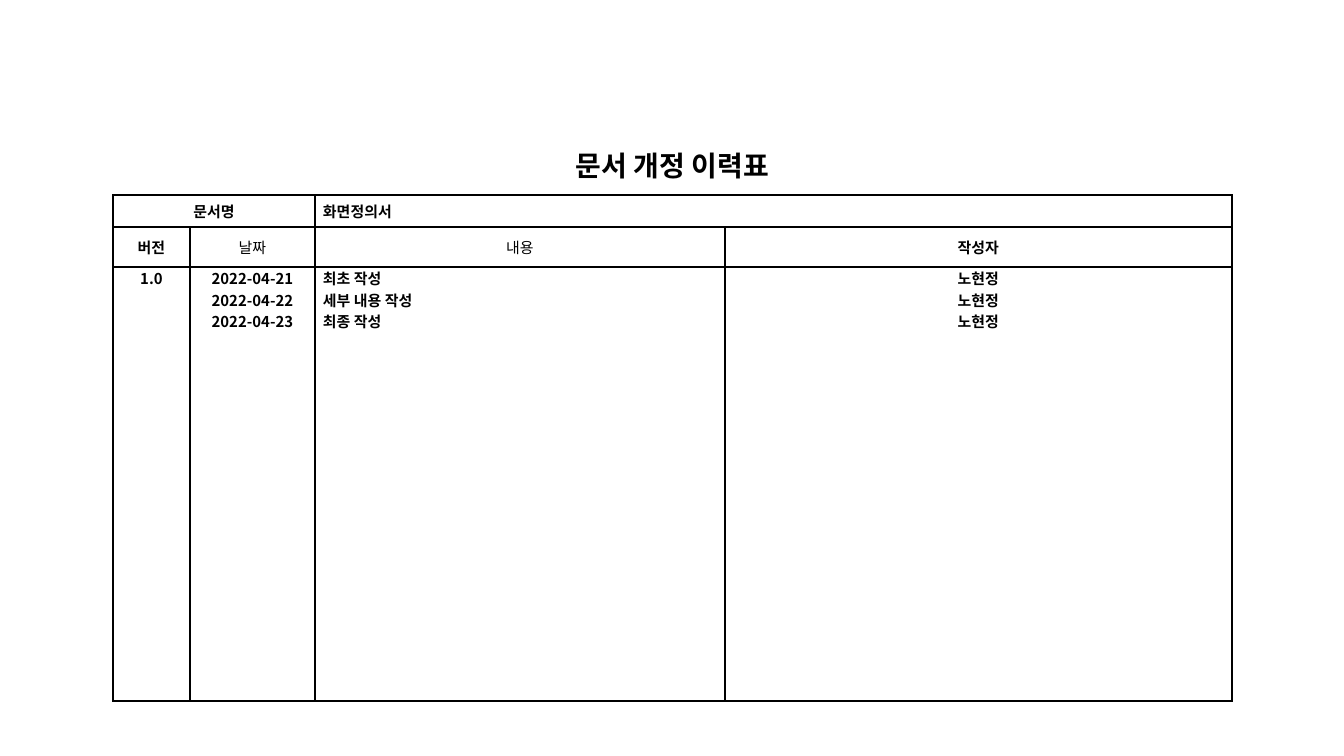
from lxml import etree
from pptx import Presentation
from pptx.dml.color import RGBColor
from pptx.enum.text import MSO_ANCHOR, PP_ALIGN
from pptx.oxml.ns import qn
from pptx.util import Pt

EMU_PER_PX = 914400 / 134.4
FONT = "Noto Sans CJK KR"
COLORS = {"ink": "000000", "paper": "FFFFFF"}
CENTER, JUSTIFY = PP_ALIGN.CENTER, PP_ALIGN.JUSTIFY
TOP, MIDDLE, BOTTOM = MSO_ANCHOR.TOP, MSO_ANCHOR.MIDDLE, MSO_ANCHOR.BOTTOM

COLUMN_WIDTHS = [77, 125, 410, 507]
ROW_HEIGHTS = [103, 32, 40, 434]
HEADINGS = [("버전", True), ("날짜", False), ("내용", False), ("작성자", True)]
HISTORY = [
    (["1.0"], CENTER),
    (["2022-04-21", "2022-04-22", "2022-04-23"], CENTER),
    (["최초 작성", "세부 내용 작성", "최종 작성"], JUSTIFY),
    (["노현정"] * 3, CENTER),
]


def px(length):
    return round(length * EMU_PER_PX)


def write(cell, lines, size=8, bold=True, align=CENTER, anchor=MIDDLE, bottom=0):
    """Fill a cell with one paragraph per line."""
    cell.vertical_anchor = anchor
    cell.margin_left = cell.margin_right = px(8)
    cell.margin_top, cell.margin_bottom = 0, px(bottom)
    frame = cell.text_frame
    for index, line in enumerate(lines):
        paragraph = frame.add_paragraph() if index else frame.paragraphs[0]
        paragraph.alignment = align
        run = paragraph.add_run()
        run.text = line
        run.font.name = FONT
        run.font.size = Pt(size)
        run.font.bold = bold
        run.font.color.rgb = RGBColor.from_string(COLORS["ink"])
        etree.SubElement(run.font._element, qn("a:ea"), typeface=FONT)


def set_borders(cell, **side_colors):
    """Draw 1 pt borders, black unless a side names another colour."""
    properties = cell._tc.get_or_add_tcPr()
    for side in "LRTB":
        line = etree.SubElement(properties, qn(f"a:ln{side}"), w=str(Pt(1)))
        fill = etree.SubElement(line, qn("a:solidFill"))
        color = COLORS[side_colors.get(side, "ink")]
        etree.SubElement(fill, qn("a:srgbClr"), val=color)
    cell.fill.background()


def add_grid(slide, left, top):
    frame = slide.shapes.add_table(
        len(ROW_HEIGHTS), len(COLUMN_WIDTHS), px(left), px(top),
        px(sum(COLUMN_WIDTHS)), px(sum(ROW_HEIGHTS)))
    table = frame.table
    table.first_row = table.horz_banding = False
    for column, width in zip(table.columns, COLUMN_WIDTHS):
        column.width = px(width)
    for row, height in zip(table.rows, ROW_HEIGHTS):
        row.height = px(height)
    # The title row shows only its bottom border
    for row in range(len(ROW_HEIGHTS)):
        hidden = dict.fromkeys("LRT", "paper") if row == 0 else {}
        for column in range(len(COLUMN_WIDTHS)):
            set_borders(table.cell(row, column), **hidden)
    return table


def main():
    presentation = Presentation()
    presentation.slide_width, presentation.slide_height = px(1344), px(756)
    slide = presentation.slides.add_slide(presentation.slide_layouts[6])
    table = add_grid(slide, 113, 92)

    # Title and document name
    for row, first, last in [(0, 0, 3), (1, 0, 1), (1, 2, 3)]:
        table.cell(row, first).merge(table.cell(row, last))
    write(table.cell(0, 0), ["문서 개정 이력표"], size=15, anchor=BOTTOM, bottom=10)
    write(table.cell(1, 0), ["문서명"])
    write(table.cell(1, 2), ["화면정의서"], align=JUSTIFY)

    # Column headings and revision history
    for column, (heading, bold) in enumerate(HEADINGS):
        write(table.cell(2, column), [heading], bold=bold)
    for column, (lines, align) in enumerate(HISTORY):
        write(table.cell(3, column), lines, align=align, anchor=TOP)

    presentation.save("out.pptx")


if __name__ == "__main__":
    main()
